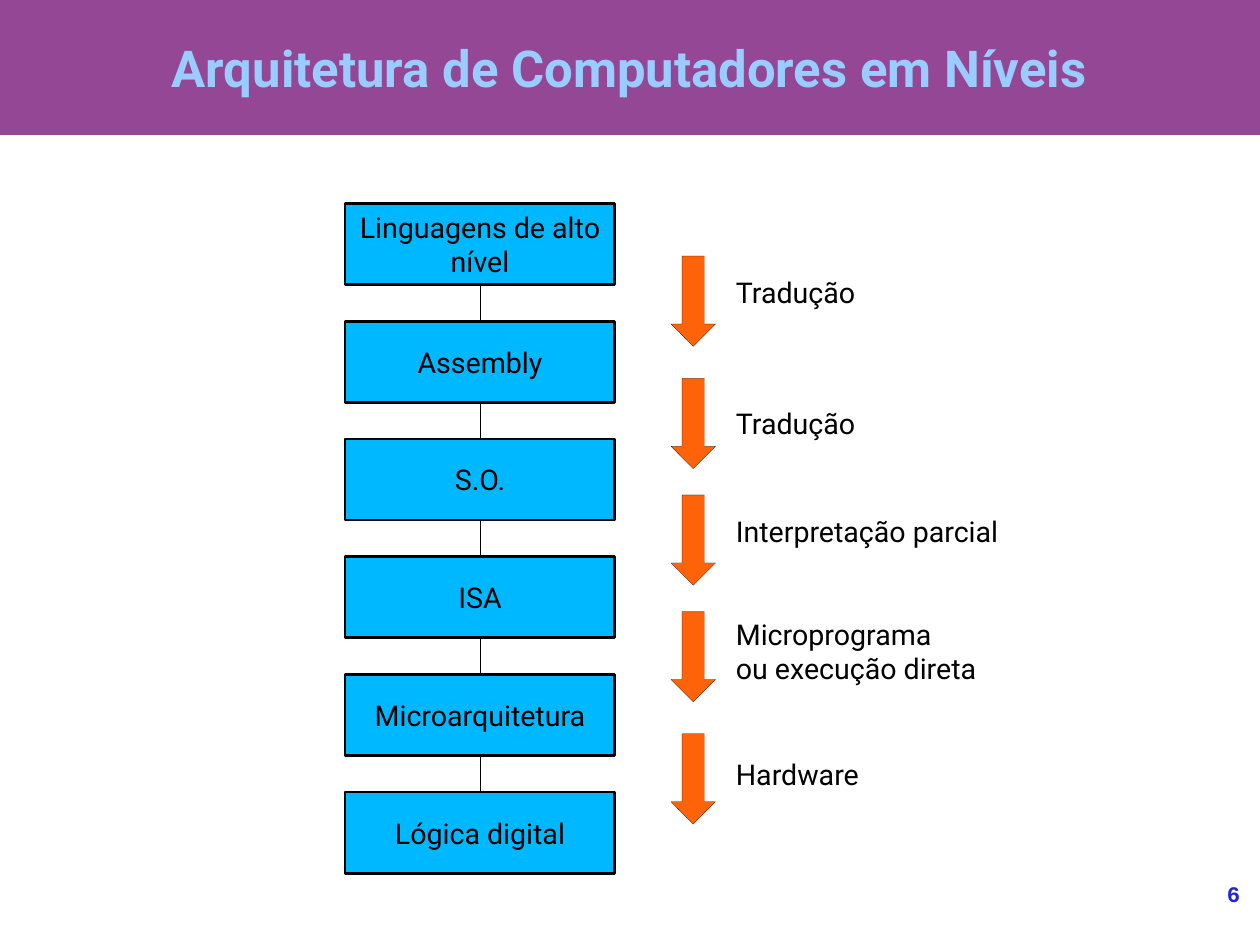
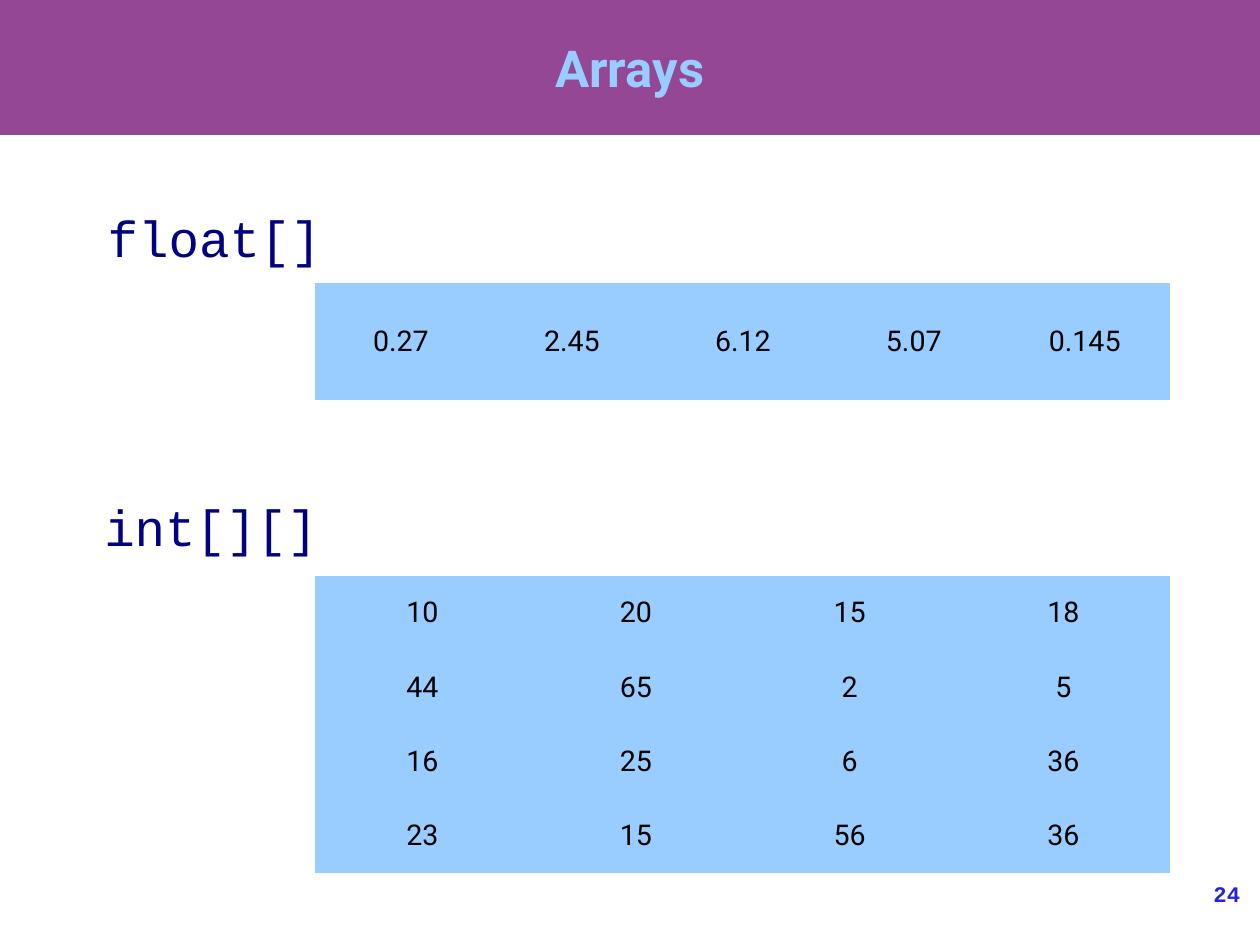
"""Build two slides about computer architecture levels and arrays."""
from lxml.etree import SubElement
from pptx import Presentation
from pptx.dml.color import RGBColor
from pptx.enum.shapes import MSO_CONNECTOR, MSO_SHAPE
from pptx.enum.text import MSO_ANCHOR, MSO_AUTO_SIZE, PP_ALIGN
from pptx.oxml.ns import qn
from pptx.util import Cm, Inches, Pt

SLIDE_WIDTH, SLIDE_HEIGHT = Cm(28), Cm(21)
BODY_FONT, CODE_FONT = "Roboto", "Courier New"
BAND, TITLE, PAGE_NUMBER, CODE = "944794", "99CCFF", "2323DC", "000080"
LEVEL, ARROW, CELL, INK = "00B8FF", "FF6309", "99CCFF", "000000"
HAIRLINE = 0.1
NO_GRID_STYLE = "{2D5ABB26-0587-4C30-8999-92F81FD0307C}"

LEVELS = ["Linguagens de alto nível", "Assembly", "S.O.", "ISA",
          "Microarquitetura", "Lógica digital"]
LEVEL_TOP, LEVEL_HEIGHT, LEVEL_PITCH = 1.78, 0.71, 1.03
# Each step: arrow top, label top, label.
STEPS = [
    (2.24, 2.36, "Tradução"),
    (3.31, 3.5, "Tradução"),
    (4.33, 4.45, "Interpretação parcial"),
    (5.35, 5.35, "Microprograma\nou execução direta"),
    (6.42, 6.57, "Hardware"),
]
FLOATS = [["0.27", "2.45", "6.12", "5.07", "0.145"]]
INTS = [["10", "20", "15", "18"], ["44", "65", "2", "5"],
        ["16", "25", "6", "36"], ["23", "15", "56", "36"]]


def colour(hex_code):
    """Return the colour for a hex string."""
    return RGBColor.from_string(hex_code)


def box(left, top, width, height):
    """Return a position and size given in inches as lengths."""
    return Inches(left), Inches(top), Inches(width), Inches(height)


def write(frame, text, size=18, font=BODY_FONT, ink=INK, bold=False,
          align=PP_ALIGN.CENTER):
    """Fill a text frame and format its paragraphs."""
    frame.text = text
    for paragraph in frame.paragraphs:
        paragraph.alignment = align
        paragraph.font.size = Pt(size)
        paragraph.font.name = font
        paragraph.font.bold = bold
        paragraph.font.color.rgb = colour(ink)


def set_margins(frame, horizontal, vertical):
    """Set the inner margins of a text frame in inches."""
    frame.margin_left = frame.margin_right = Inches(horizontal)
    frame.margin_top = frame.margin_bottom = Inches(vertical)


def add_block(slide, preset, place, fill, line_width=None):
    """Add a filled preset shape, outlined when a line width is given."""
    block = slide.shapes.add_shape(preset, *place)
    block.shadow.inherit = False
    block.fill.solid()
    block.fill.fore_color.rgb = colour(fill)
    if line_width is None:
        block.line.fill.background()
    else:
        block.line.color.rgb = colour(INK)
        block.line.width = Pt(line_width)
    return block


def add_label(slide, place, text, margins=(0.1, 0.05), **style):
    """Add a wrapped text box."""
    frame = slide.shapes.add_textbox(*box(*place)).text_frame
    frame.word_wrap = True
    set_margins(frame, *margins)
    write(frame, text, **style)


def add_titled_slide(deck, title, number):
    """Add a slide with the shared band, title and page number."""
    slide = deck.slides.add_slide(deck.slide_layouts[5])
    band = add_block(slide, MSO_SHAPE.RECTANGLE,
                     (0, 0, SLIDE_WIDTH, Inches(1.18)), BAND)
    slide.shapes.element.insert(2, band.element)
    heading = slide.shapes.title
    heading.left, heading.top, heading.width, heading.height = box(
        0.55, -0.1, 9.92, 1.38)
    frame = heading.text_frame
    frame.auto_size = MSO_AUTO_SIZE.NONE
    frame.vertical_anchor = MSO_ANCHOR.MIDDLE
    set_margins(frame, 0, 0)
    write(frame, title, size=32, ink=TITLE, bold=True)
    add_label(slide, (9.17, 7.7, 1.68, 0.57), str(number), margins=(0, 0),
              size=14, font=CODE_FONT, ink=PAGE_NUMBER, bold=True,
              align=PP_ALIGN.RIGHT)
    return slide


def add_level(slide, index, name):
    """Add one level of the architecture stack."""
    top = LEVEL_TOP + index * LEVEL_PITCH
    level = add_block(slide, MSO_SHAPE.RECTANGLE,
                      box(3.02, top, 2.36, LEVEL_HEIGHT), LEVEL, 1.7)
    level.text_frame.word_wrap = True
    level.text_frame.vertical_anchor = MSO_ANCHOR.MIDDLE
    set_margins(level.text_frame, 0.11, 0.06)
    write(level.text_frame, name)
    return level


def join_levels(slide, upper, lower):
    """Connect the top of one level to the bottom of the one above."""
    link = slide.shapes.add_connector(MSO_CONNECTOR.STRAIGHT, 0, 0, 0, 0)
    link.begin_connect(lower, 0)
    link.end_connect(upper, 2)
    link.line.color.rgb = colour(INK)
    link.line.width = Pt(HAIRLINE)
    SubElement(link.element.spPr, qn("a:effectLst"))


def add_array(slide, place, rows):
    """Add a borderless table showing the values of an array."""
    holder = slide.shapes.add_table(len(rows), len(rows[0]), *box(*place))
    holder.element.find(".//" + qn("a:tableStyleId")).text = NO_GRID_STYLE
    table = holder.table
    table.first_row = table.horz_banding = False
    for row, values in enumerate(rows):
        for column, value in enumerate(values):
            cell = table.cell(row, column)
            cell.fill.solid()
            cell.fill.fore_color.rgb = colour(CELL)
            cell.vertical_anchor = MSO_ANCHOR.MIDDLE
            set_margins(cell, 0.1, 0.05)
            write(cell.text_frame, value)


def build_levels(deck):
    """Build the slide with the architecture levels."""
    slide = add_titled_slide(deck, "Arquitetura de Computadores em Níveis", 6)
    levels = [add_level(slide, *item) for item in enumerate(LEVELS)]
    for upper, lower in zip(levels, levels[1:]):
        join_levels(slide, upper, lower)
    for arrow_top, label_top, label in STEPS:
        add_block(slide, MSO_SHAPE.DOWN_ARROW,
                  box(5.87, arrow_top, 0.39, 0.79), ARROW, HAIRLINE)
        label_height = 0.39 + 0.3 * label.count("\n")
        add_label(slide, (6.34, label_top, 2.87, label_height), label,
                  align=PP_ALIGN.LEFT)


def build_arrays(deck):
    """Build the slide with the two arrays."""
    slide = add_titled_slide(deck, "Arrays", 24)
    code_style = {"size": 32, "font": CODE_FONT, "ink": CODE,
                  "align": PP_ALIGN.RIGHT}
    add_label(slide, (0.55, 1.76, 2.36, 0.6), "float[]", **code_style)
    add_label(slide, (0.71, 4.29, 2.17, 0.6), "int[][]", **code_style)
    add_array(slide, (2.76, 2.48, 7.48, 1.02), FLOATS)
    add_array(slide, (2.76, 5.04, 7.48, 2.6), INTS)


def main():
    """Build and save the presentation."""
    deck = Presentation()
    deck.slide_width, deck.slide_height = SLIDE_WIDTH, SLIDE_HEIGHT
    build_levels(deck)
    build_arrays(deck)
    deck.save("out.pptx")


if __name__ == "__main__":
    main()
